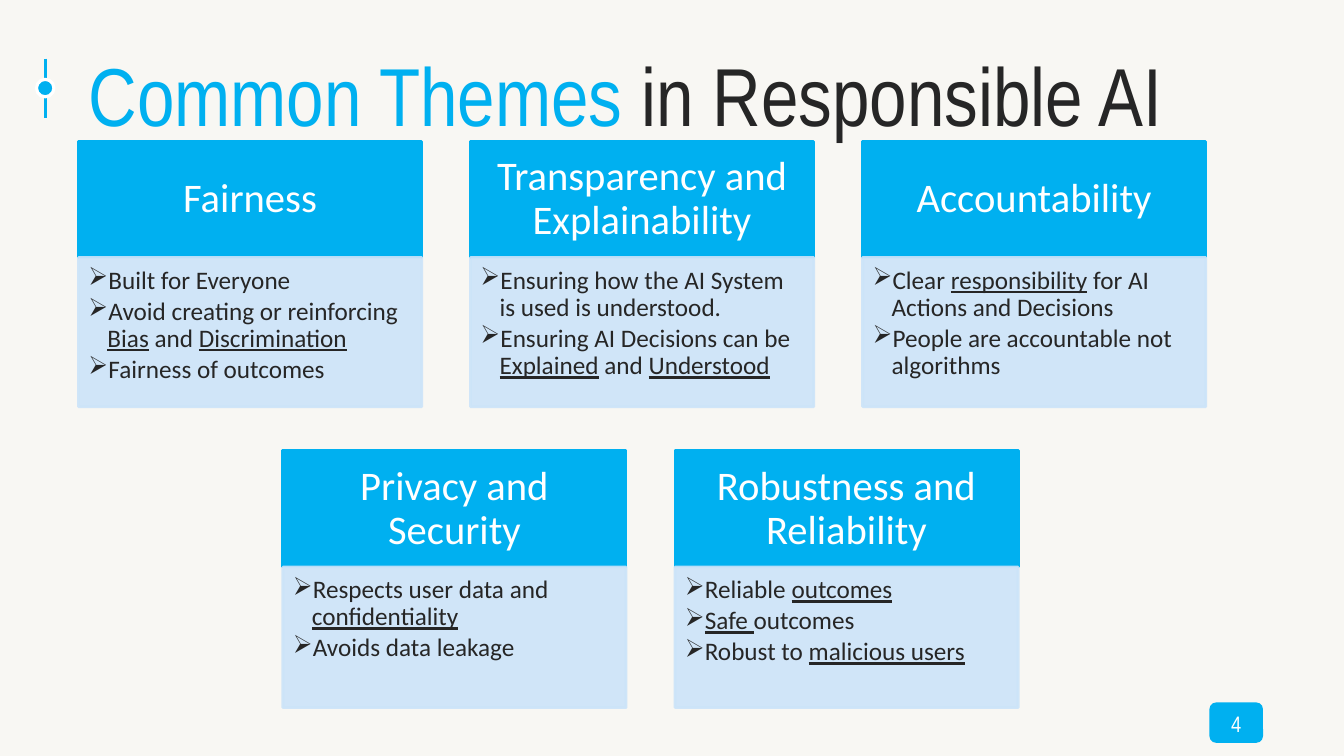
import dataclasses

import lxml.etree
import pptx
import pptx.dml.color
import pptx.enum.shapes
import pptx.enum.text
import pptx.oxml.ns
import pptx.util

Cm, Pt = pptx.util.Cm, pptx.util.Pt
Kind = pptx.enum.shapes.MSO_SHAPE
Align = pptx.enum.text.PP_ALIGN
Anchor = pptx.enum.text.MSO_ANCHOR
qn = pptx.oxml.ns.qn


@dataclasses.dataclass(frozen=True)
class Theme:
    paper: str = "F8F7F3"
    blue: str = "00B0F0"
    pale: str = "CCE4F9"
    ink: str = "262626"
    white: str = "FFFFFF"
    narrow: str = "Arial Narrow"
    sans: str = "Calibri"
    title: float = 58.7
    head: float = 29
    body: float = 18
    page: float = 16
    edge: float = 2
    rule: float = 2.25
    solid: int = 90


def rgb(code):
    return pptx.dml.color.RGBColor.from_string(code)


def assign(target, values):
    for name, value in values.items():
        setattr(target, name, value)


def fade(color, percent):
    """Set the opacity of a solid fill or line colour."""
    for node in color.iter(qn("a:srgbClr")):
        lxml.etree.SubElement(node, qn("a:alpha"), val=str(percent * 1000))


class Deck:
    def __init__(self, theme):
        self.theme = theme
        self.show = pptx.Presentation()
        assign(self.show, {"slide_width": Cm(33.87), "slide_height": Cm(19.05)})
        self.slide = self.show.slides.add_slide(self.show.slide_layouts[6])
        fill = self.slide.background.fill
        fill.solid()
        fill.fore_color.rgb = rgb(theme.paper)

    def shape(self, kind, box, fill, line=None, width=0):
        item = self.slide.shapes.add_shape(kind, *map(Cm, box))
        item.shadow.inherit = False
        item.fill.solid()
        item.fill.fore_color.rgb = rgb(fill)
        if line:
            item.line.color.rgb = rgb(line)
            item.line.width = Pt(width)
        else:
            item.line.fill.background()
        return item

    def frame(self, item, pads, anchor):
        """Set the insets (left, top, right, bottom) and anchor of a text frame."""
        frame = item.text_frame
        sides = ("margin_left", "margin_top", "margin_right", "margin_bottom")
        assign(frame, dict(zip(sides, map(Cm, pads))))
        assign(frame, {"word_wrap": True, "vertical_anchor": anchor})
        return frame

    def run(self, para, text, face, size, color, under=None):
        run = para.add_run()
        run.text = text
        assign(run.font, {"name": face, "size": Pt(size), "underline": under})
        run.font.color.rgb = rgb(color)
        return run

    def stem(self, left, top, end):
        line = self.slide.shapes.add_connector(
            pptx.enum.shapes.MSO_CONNECTOR.STRAIGHT, *map(Cm, (left, top, left, end)))
        line.line.color.rgb = rgb(self.theme.blue)
        line.line.width = Pt(self.theme.rule)
        lxml.etree.SubElement(line._element.spPr, qn("a:effectLst"))

    def title(self, box, parts):
        item = self.slide.shapes.add_textbox(*map(Cm, box))
        frame = self.frame(item, (0.25, 0.13, 0.25, 0.13), Anchor.MIDDLE)
        for text, color in parts:
            self.run(frame.paragraphs[0], text, self.theme.narrow, self.theme.title, color)

    def badge(self, box, text):
        item = self.shape(Kind.ROUNDED_RECTANGLE, box, self.theme.blue)
        para = self.frame(item, (0, 0.05, 0, 0), Anchor.MIDDLE).paragraphs[0]
        para.alignment = Align.CENTER
        self.run(para, text, self.theme.narrow, self.theme.page, self.theme.white)

    def head(self, box, text):
        theme = self.theme
        item = self.shape(Kind.RECTANGLE, box, theme.blue, theme.blue, theme.edge)
        para = self.frame(item, (0.58, 0.33, 0.58, 0.33), Anchor.MIDDLE).paragraphs[0]
        assign(para, {"alignment": Align.CENTER, "line_spacing": 0.9})
        self.run(para, text, theme.sans, theme.head, theme.white)

    def points(self, box, lines):
        """Draw a pale box of bullets; underscores enclose underlined words."""
        theme = self.theme
        item = self.shape(Kind.RECTANGLE, box, theme.pale, theme.pale, theme.edge)
        fade(item._element.spPr, theme.solid)
        frame = self.frame(item, (0.25, 0.25, 0.36, 0.41), Anchor.TOP)
        for count, line in enumerate(lines):
            para = frame.add_paragraph() if count else frame.paragraphs[0]
            assign(para, {"alignment": Align.LEFT, "level": 1, "line_spacing": 0.9,
                          "space_after": Pt(theme.body * 0.15)})
            props = para._p.get_or_add_pPr()
            props.set("marL", str(Cm(0.48)))
            props.set("indent", str(Cm(-0.48)))
            lxml.etree.SubElement(props, qn("a:buChar"), char="➢")
            for part, text in enumerate(line.split("_")):
                if text:
                    self.run(para, text, theme.sans, theme.body, theme.ink, part % 2 == 1)


WIDE, HEAD, PITCH = 8.65, 2.93, 9.88
ROWS = [
    (1.98, 3.56, 3.76, [
        ("Fairness", ["Built for Everyone",
                      "Avoid creating or reinforcing _Bias_ and _Discrimination_",
                      "Fairness of outcomes"]),
        ("Transparency and Explainability", [
            "Ensuring how the AI System is used is understood.",
            "Ensuring AI Decisions can be _Explained_ and _Understood_"]),
        ("Accountability", ["Clear _responsibility_ for AI Actions and Decisions",
                            "People are accountable not algorithms"]),
    ]),
    (7.13, 11.36, 3.54, [
        ("Privacy and Security", ["Respects user data and _confidentiality_",
                                  "Avoids data leakage"]),
        ("Robustness and Reliability", ["Reliable _outcomes_", "_Safe _outcomes",
                                        "Robust to _malicious users_"]),
    ]),
]


def main():
    theme = Theme()
    deck = Deck(theme)
    deck.stem(1.14, 1.48, 2.97)
    deck.shape(Kind.OVAL, (0.92, 2, 0.44, 0.44), theme.blue, theme.white, theme.rule)
    deck.title((1.98, 0.76, 30.2, 3.18), [("Common Themes ", theme.blue),
                                          ("in Responsible AI", theme.ink)])
    deck.badge((30.48, 17.7, 1.35, 1.02), "4")
    for left, top, tall, cards in ROWS:
        for column, (name, lines) in enumerate(cards):
            start = left + column * PITCH
            deck.head((start, top, WIDE, HEAD), name)
            deck.points((start, top + HEAD, WIDE, tall), lines)
    deck.show.save("out.pptx")


if __name__ == "__main__":
    main()
